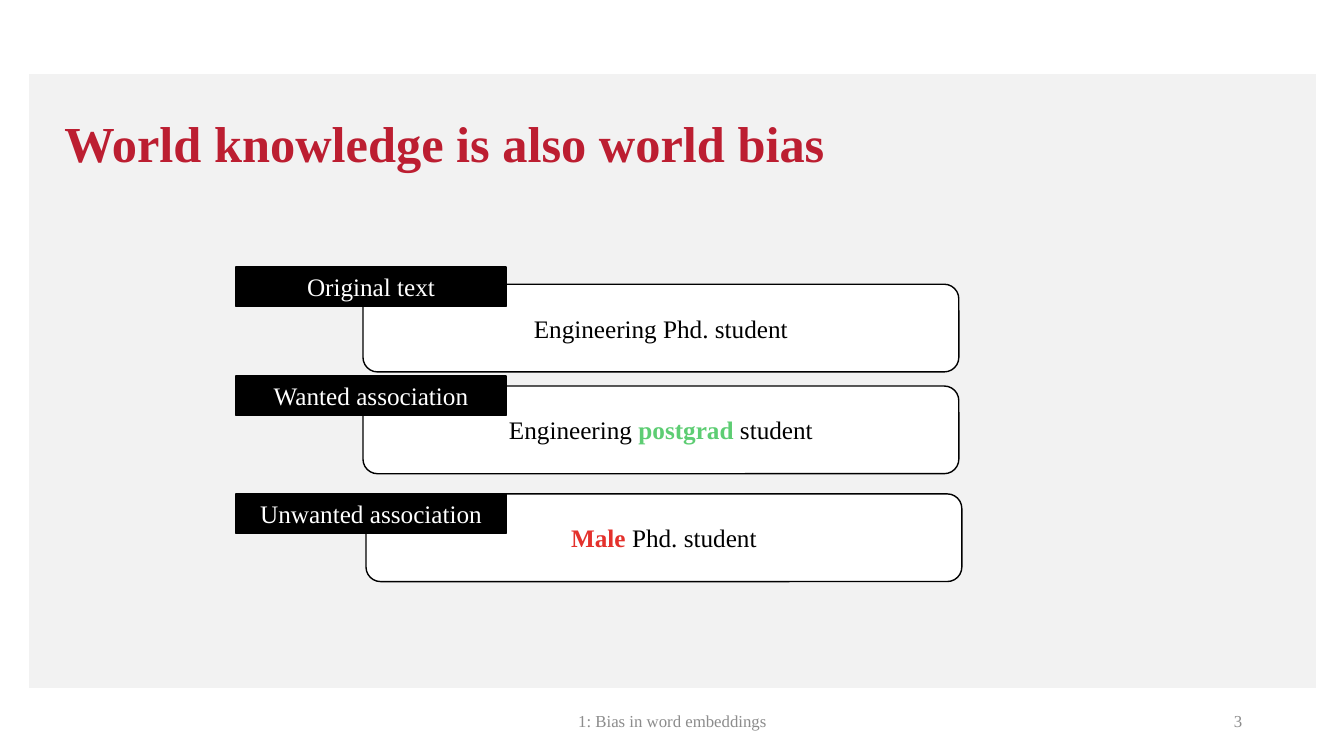
from pptx import Presentation
from pptx.dml.color import RGBColor
from pptx.enum.shapes import MSO_SHAPE as Shape
from pptx.enum.text import MSO_ANCHOR as Anchor, PP_ALIGN as Align
from pptx.util import Inches, Pt

FONT = "Times New Roman"
BLACK, WHITE, PANEL = "000000", "FFFFFF", "F2F2F2"
CRIMSON, GREEN, RED, GREY = "BC1E31", "5DCD73", "E4312C", "8C8C8C"

EXAMPLES = [
    ("Original text", 2.65, 3.6, 2.82,
     [("Engineering Phd. student", BLACK, False)]),
    ("Wanted association", 3.73, 3.6, 3.83,
     [("Engineering ", BLACK, False), ("postgrad", GREEN, True), (" student", BLACK, False)]),
    ("Unwanted association", 4.9, 3.63, 4.9,
     [("Male ", RED, True), ("Phd. student", BLACK, False)]),
]


def color(value):
    """Turn a hex string into a colour."""
    return RGBColor.from_string(value)


def write(box, spans, size, align, anchor=Anchor.MIDDLE):
    """Fill a box with one paragraph of (text, colour, bold) spans."""
    frame = box.text_frame
    frame.word_wrap = True
    frame.vertical_anchor = anchor
    para = frame.paragraphs[0]
    para.alignment = align
    for text, ink, bold in spans:
        span = para.add_run()
        span.text = text
        span.font.name = FONT
        span.font.size = Pt(size)
        span.font.bold = bold
        span.font.color.rgb = color(ink)


def add_box(page, kind, left, top, width, height, fill, line, spans=()):
    """Draw a filled, outlined shape with optional centred text."""
    box = page.shapes.add_shape(kind, Inches(left), Inches(top), Inches(width), Inches(height))
    box.shadow.inherit = False
    box.fill.solid()
    box.fill.fore_color.rgb = color(fill)
    box.line.color.rgb = color(line)
    box.line.width = Pt(1)
    if spans:
        write(box, spans, 18, Align.CENTER)


def add_text(page, left, top, width, height, span, size, align, anchor=Anchor.MIDDLE):
    """Place a text box holding a single span."""
    box = page.shapes.add_textbox(Inches(left), Inches(top), Inches(width), Inches(height))
    write(box, [span], size, align, anchor)


def main():
    """Build the slide and save the deck."""
    deck = Presentation()
    deck.slide_width, deck.slide_height = Inches(13.33), Inches(7.5)
    page = deck.slides.add_slide(deck.slide_layouts[6])

    add_box(page, Shape.RECTANGLE, 0.29, 0.74, 12.76, 6.08, PANEL, PANEL)
    add_text(page, 0.54, 0.74, 12.2, 1.02, ("World knowledge is also world bias", CRIMSON, True),
             36, Align.LEFT, Anchor.BOTTOM)

    for label, label_top, left, top, spans in EXAMPLES:
        add_box(page, Shape.ROUNDED_RECTANGLE, left, top, 5.91, 0.87, WHITE, BLACK, spans)
        add_box(page, Shape.RECTANGLE, 2.34, label_top, 2.68, 0.39, BLACK, BLACK,
                [(label, WHITE, False)])

    add_text(page, 4.42, 6.95, 4.5, 0.4, ("1: Bias in word embeddings", GREY, False),
             12, Align.CENTER)
    add_text(page, 9.42, 6.95, 3, 0.4, ("3", GREY, False), 12, Align.RIGHT)
    deck.save("out.pptx")


if __name__ == "__main__":
    main()
